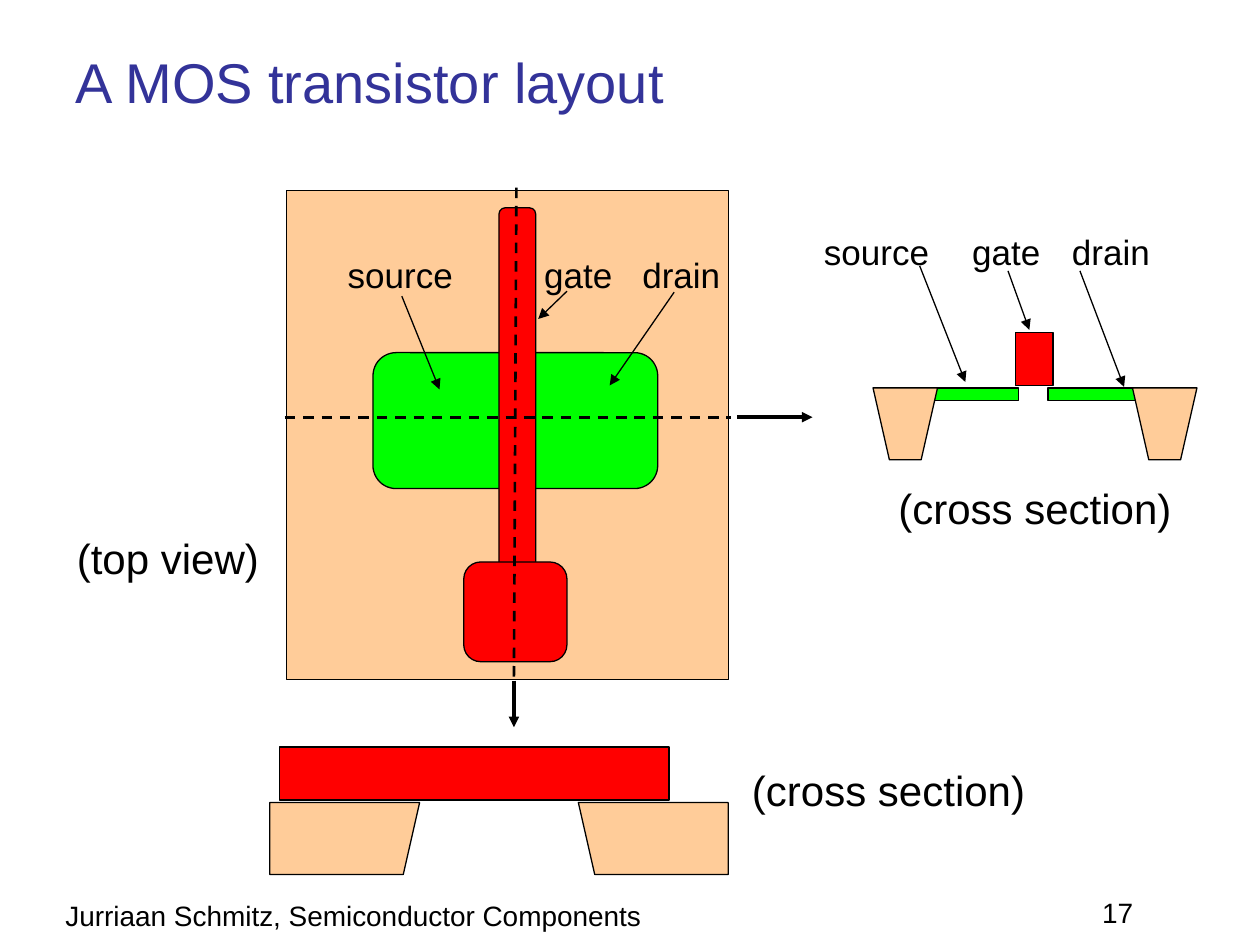
from lxml import etree
from pptx import Presentation
from pptx.dml.color import RGBColor
from pptx.enum.dml import MSO_LINE
from pptx.enum.shapes import MSO_CONNECTOR, MSO_SHAPE as Shape
from pptx.enum.text import MSO_ANCHOR, PP_ALIGN
from pptx.oxml.ns import qn
from pptx.util import Cm, Pt

THEME = {
    "font": "Arial", "ink": "000000", "title": "333399",
    "field": "FFCC99", "active": "00FF00", "gate": "FF0000",
    "title_pt": 32, "caption_pt": 24, "label_pt": 20, "footer_pt": 16,
    "thin_pt": 0.75, "cut_pt": 1.5, "view_pt": 2,
}

# Content, lengths in cm
TITLE = ("A MOS transistor layout", (1.27, 0.76, 22.86, 1.75))

# Preset, colour, (left, top, width, height), corner ratio
TOP_VIEW = [
    (Shape.RECTANGLE, "field", (5.77, 3.84, 8.92, 9.86), None),
    (Shape.ROUNDED_RECTANGLE, "active", (7.52, 7.11, 5.74, 2.74), 0.17),
    (Shape.ROUNDED_RECTANGLE, "gate", (10.06, 4.19, 0.74, 7.98), 0.17),
    (Shape.ROUNDED_RECTANGLE, "gate", (9.35, 11.33, 2.08, 2.01), 0.17),
]
SECTION_BARS = [
    (Shape.RECTANGLE, "gate", (20.47, 6.71, 0.76, 1.07), None),
    (Shape.RECTANGLE, "active", (18.75, 7.82, 1.78, 0.25), None),
    (Shape.RECTANGLE, "active", (21.13, 7.82, 1.78, 0.25), None),
    (Shape.RECTANGLE, "gate", (5.64, 15.06, 7.85, 1.07), None),
]
# Field oxide: left, top, width, sloped left side, sloped right side
OXIDE_HEIGHT, OXIDE_SLOPE = 1.45, 0.33
OXIDES = [
    (17.60, 7.82, 1.30, True, True),
    (22.83, 7.82, 1.30, True, True),
    (5.44, 16.18, 3.02, False, True),
    (11.66, 16.18, 3.02, True, False),
]
# Lines: x1, y1, x2, y2
CUTS = [(5.74, 8.41, 14.73, 8.41), (10.41, 3.78, 10.36, 13.67)]
VIEW_ARROWS = [(14.86, 8.41, 16.38, 8.41), (10.36, 13.72, 10.36, 14.66)]
POINTERS = [
    (18.54, 5.36, 19.46, 7.70), (20.32, 5.46, 20.75, 6.65),
    (21.77, 5.46, 22.66, 7.80), (8.10, 5.97, 8.86, 7.85),
    (11.43, 5.87, 10.85, 6.43), (13.59, 5.89, 12.29, 7.77),
]
LABEL_WIDTHS = {"source": 2.62, "gate": 1.88, "drain": 2.08}
LABEL_ROWS = [(4.98, (6.76, 10.72, 12.70)), (4.52, (16.36, 19.35, 21.36))]
# Text, (left, top, width, height), size
TEXTS = [
    ("(top view)", (1.30, 10.62, 4.17, 1.27), "caption_pt"),
    ("(cross section)", (17.86, 9.60, 5.99, 1.27), "caption_pt"),
    ("(cross section)", (14.91, 15.29, 5.99, 1.27), "caption_pt"),
    ("Jurriaan Schmitz, Semiconductor Components",
     (1.07, 17.98, 12.12, 0.94), "footer_pt"),
    ("17", (21.97, 17.93, 3.07, 0.94), "footer_pt"),
]


def cm(values):
    return [Cm(v) for v in values]


def color(name):
    return RGBColor.from_string(THEME[name])


def write(tf, text, size, ink="ink"):
    tf.text = text
    p = tf.paragraphs[0]
    p.alignment = PP_ALIGN.LEFT
    font = p.runs[0].font
    font.name, font.size = THEME["font"], Pt(THEME[size])
    font.color.rgb = color(ink)


def paint(sp, fill):
    sp.shadow.inherit = False
    sp.fill.solid()
    sp.fill.fore_color.rgb = color(fill)
    sp.line.color.rgb = color("ink")
    sp.line.width = Pt(THEME["thin_pt"])


def add_block(preset, fill, box, corner):
    sp = shapes.add_shape(preset, *cm(box))
    if corner is not None:
        sp.adjustments[0] = corner
    paint(sp, fill)


def add_oxide(left, top, width, slope_left, slope_right):
    right, bottom = left + width, top + OXIDE_HEIGHT
    builder = shapes.build_freeform(Cm(left), Cm(top))
    builder.add_line_segments([
        cm((right, top)),
        cm((right - OXIDE_SLOPE * slope_right, bottom)),
        cm((left + OXIDE_SLOPE * slope_left, bottom)),
    ], close=True)
    paint(builder.convert_to_shape(), "field")


def add_line(ends, width, dashed=False):
    line = shapes.add_connector(MSO_CONNECTOR.STRAIGHT, *cm(ends))
    line.line.color.rgb = color("ink")
    line.line.width = Pt(THEME[width])
    if dashed:
        line.line.dash_style = MSO_LINE.DASH
    else:
        ln = line.line._get_or_add_ln()
        etree.SubElement(ln, qn("a:tailEnd"), type="triangle")
    etree.SubElement(line._element.spPr, qn("a:effectLst"))


def add_text(text, box, size):
    tf = shapes.add_textbox(*cm(box)).text_frame
    # No right inset, so each text has room for a single line
    tf.word_wrap, tf.margin_right = True, 0
    write(tf, text, size)


prs = Presentation()
prs.slide_width, prs.slide_height = Cm(25.4), Cm(19.05)
slide = prs.slides.add_slide(prs.slide_layouts[5])
shapes = slide.shapes

# Title
title = shapes.title
title.left, title.top, title.width, title.height = cm(TITLE[1])
write(title.text_frame, TITLE[0], "title_pt", "title")
title.text_frame.vertical_anchor = MSO_ANCHOR.MIDDLE

# Top view and cross sections
for block in TOP_VIEW + SECTION_BARS:
    add_block(*block)
for oxide in OXIDES:
    add_oxide(*oxide)

# Cut lines, view arrows and label pointers
for ends in CUTS:
    add_line(ends, "cut_pt", dashed=True)
for ends in VIEW_ARROWS:
    add_line(ends, "view_pt")
for ends in POINTERS:
    add_line(ends, "thin_pt")

# Labels, captions and footer
for top, lefts in LABEL_ROWS:
    for (name, width), left in zip(LABEL_WIDTHS.items(), lefts):
        add_text(name, (left, top, width, 1.12), "label_pt")
for item in TEXTS:
    add_text(*item)

prs.save("out.pptx")
